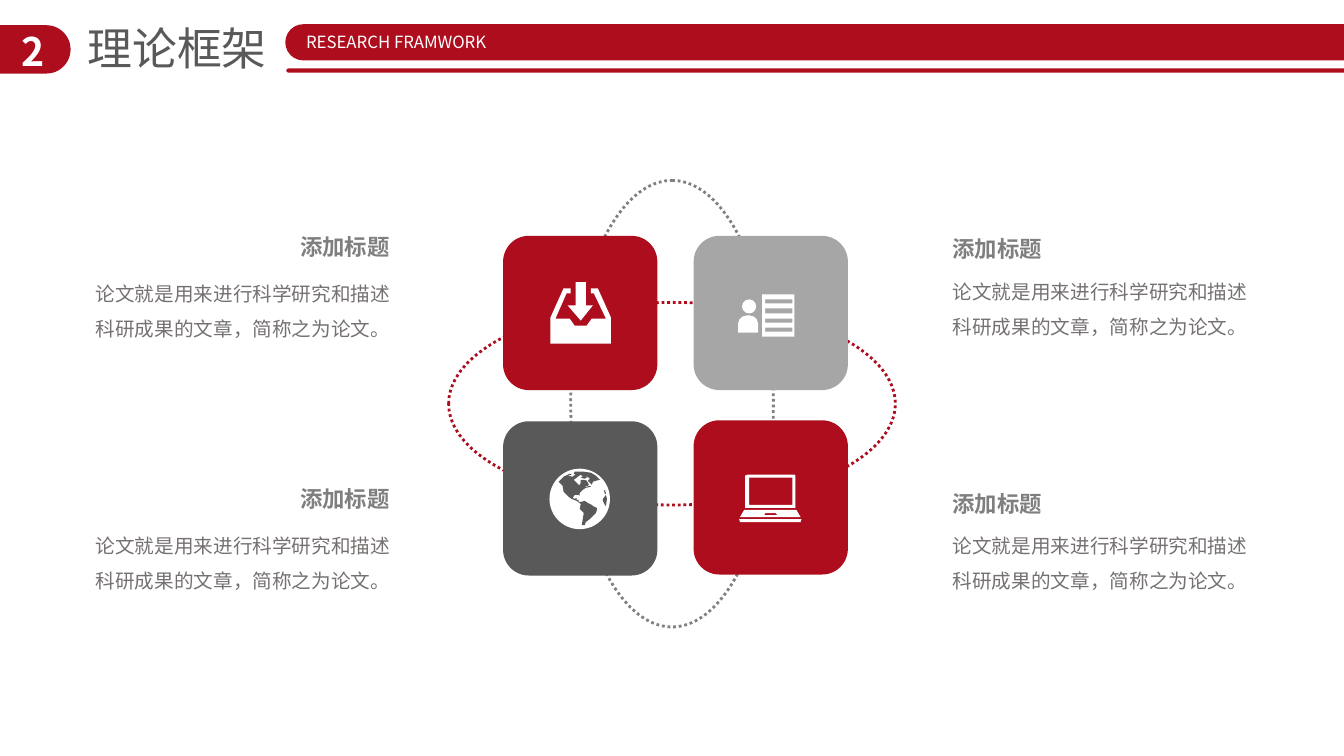
from lxml import etree
from pptx import Presentation
from pptx.dml.color import RGBColor
from pptx.enum import dml, shapes, text
from pptx.oxml.ns import qn
from pptx.util import Cm, Pt

FONT = "Noto Sans CJK SC"
RED, WHITE, DARK, SILVER = "AE0D1D", "FFFFFF", "595959", "A6A6A6"
DOT_GREY, HEADING_GREY, BODY_GREY = "808080", "7F7F7F", "767171"
HEADING = "添加标题"
BODY = "论文就是用来进行科学研究和描述科研成果的文章，简称之为论文。"
TILE_SIZE = 1.53
KIND = shapes.MSO_SHAPE

ARROW = [(581, 303), (581, 280), (571, 280), (571, 303), (563, 303), (576, 318), (588, 303)]
TRAY = [
    (593, 286), (586, 286), (586, 291), (589, 291), (601, 316), (587, 316), (582, 323),
    (570, 323), (565, 316), (551, 316), (562, 291), (566, 291), (566, 286), (559, 286),
    (546, 315), (546, 341), (606, 341), (606, 315),
]
AMERICAS = [
    (595, 476), (591, 477), (588, 478), (587, 481), (585, 479), (583, 477), (585, 475),
    (584, 474), (580, 472), (582, 474), (580, 475), (576, 474), (578, 473), (576, 471),
    (573, 473), (572, 474), (569, 476), (572, 479), (574, 481), (575, 481), (576, 479),
    (576, 476), (579, 476), (582, 477), (584, 481), (583, 482), (579, 483), (582, 483),
    (585, 482), (586, 483), (581, 484), (578, 486), (575, 489), (575, 492), (574, 491),
    (570, 491), (568, 494), (570, 495), (572, 494), (572, 496), (574, 496), (574, 498),
    (576, 498), (580, 497), (583, 499), (587, 501), (588, 502), (592, 504), (592, 506),
    (591, 509), (588, 512), (585, 515), (581, 518), (580, 521), (577, 521), (578, 515),
    (579, 509), (575, 505), (576, 500), (572, 497), (567, 495), (564, 493), (561, 490),
    (559, 488), (558, 482), (554, 478), (559, 473), (565, 470), (567, 471), (563, 472),
    (568, 473), (569, 472), (571, 471), (569, 470), (570, 468), (579, 468), (586, 469),
    (591, 472),
]
EUROPE = [(599, 487), (600, 486), (601, 490), (600, 490)]
AFRICA = [(600, 501), (598, 497), (598, 495), (601, 491), (602, 495), (601, 502)]


def box(left, top, width, height):
    return [Cm(length * 2.54) for length in (left, top, width, height)]


def color(value):
    return RGBColor.from_string(value)


def paint(shape, fill):
    shape.shadow.inherit = False
    shape.fill.solid()
    shape.fill.fore_color.rgb = color(fill)
    shape.line.fill.background()


def add_solid(slide, kind, place, fill, adjustments=()):
    shape = slide.shapes.add_shape(kind, *box(*place))
    paint(shape, fill)
    for index, value in enumerate(adjustments):
        shape.adjustments[index] = value


def add_dotted_ring(slide, line, rotation):
    shape = slide.shapes.add_shape(KIND.OVAL, *box(4.45, 3, 4.43, 2.01))
    shape.shadow.inherit = False
    shape.rotation = rotation
    shape.fill.background()
    shape.line.color.rgb = color(line)
    shape.line.width = Pt(2)
    shape.line.dash_style = dml.MSO_LINE.ROUND_DOT


def add_outline(slide, contours, fill):
    first, *others = contours
    builder = slide.shapes.build_freeform(*first[0], scale=float(Cm(0.0254)))
    builder.add_line_segments(first[1:], close=True)
    for contour in others:
        builder.move_to(*contour[0])
        builder.add_line_segments(contour[1:], close=True)
    paint(builder.convert_to_shape(), fill)


def rectangle(left, top, right, bottom):
    return [(left, top), (right, top), (right, bottom), (left, bottom)]


def add_text(slide, place, content, size, fill, bold=False, wrap=False, spacing=None, align=None):
    frame = slide.shapes.add_textbox(*box(*place)).text_frame
    frame.text = content
    frame.word_wrap = wrap
    frame.auto_size = text.MSO_AUTO_SIZE.SHAPE_TO_FIT_TEXT
    paragraph = frame.paragraphs[0]
    paragraph.alignment = align
    paragraph.line_spacing = spacing
    font = paragraph.runs[0].font
    font.name, font.size, font.bold = FONT, Pt(size), bold
    font.color.rgb = color(fill)
    properties = paragraph.runs[0].font._element
    east_asian = etree.SubElement(properties, qn("a:ea"))
    east_asian.set("typeface", FONT)


def add_header(slide):
    center = text.PP_ALIGN.CENTER
    for place in ((-0.28, 0.25, 0.98, 0.48), (2.83, 0.24, 11.03, 0.36), (2.84, 0.68, 11.03, 0.04)):
        add_solid(slide, KIND.ROUNDED_RECTANGLE, place, RED, [0.5])
    add_text(slide, (0.07, 0.22, 0.51, 0.57), "2", 28, WHITE, bold=True, wrap=True, align=center)
    add_text(slide, (0.77, 0.16, 2, 0.64), "理论框架", 32, DARK)
    add_text(slide, (2.87, 0.27, 2.12, 0.3), "RESEARCH FRAMWORK", 12, WHITE, align=center)


def add_caption(slide, heading_left, body_left, heading_top, body_top):
    add_text(slide, (heading_left, heading_top, 1.1, 0.37), HEADING, 16, HEADING_GREY, bold=True)
    add_text(slide, (body_left, body_top, 3.13, 0.81), BODY, 14, BODY_GREY, wrap=True, spacing=1.5)


def add_inbox_icon(slide):
    add_outline(slide, [ARROW], WHITE)
    add_outline(slide, [TRAY], WHITE)


def add_profile_icon(slide):
    add_solid(slide, KIND.OVAL, (7.36, 2.97, 0.14, 0.14), WHITE)
    add_solid(slide, KIND.ROUND_2_SAME_RECTANGLE, (7.32, 3.13, 0.2, 0.17), WHITE, [0.5, 0])
    stripes = [rectangle(759, 297 + 9.3 * row, 786, 301.3 + 9.3 * row) for row in range(4)]
    add_outline(slide, [rectangle(756, 292, 788, 334), *stripes], WHITE)


def add_globe_icon(slide):
    add_solid(slide, KIND.OVAL, (5.45, 4.65, 0.6, 0.6), WHITE)
    for land in (AMERICAS, EUROPE, AFRICA):
        add_outline(slide, [land], DARK)


def add_laptop_icon(slide):
    screen = [(739, 504), (739, 472), (741, 471), (788, 471), (789, 472), (789, 504)]
    keyboard = [(738, 506), (790, 506), (794, 513), (734, 513)]
    touchpad = [(758, 511), (759, 509), (769, 509), (771, 511)]
    edge = [(733, 515), (795, 515), (794, 518), (734, 518)]
    add_outline(slide, [screen, rectangle(743, 474, 786, 501), keyboard, touchpad, edge], WHITE)


def main():
    presentation = Presentation()
    presentation.slide_width, presentation.slide_height = box(0, 0, 13.33, 7.5)[2:]
    slide = presentation.slides.add_slide(presentation.slide_layouts[6])

    add_dotted_ring(slide, RED, 0)
    add_dotted_ring(slide, DOT_GREY, 90)
    add_caption(slide, 2.88, 0.85, 2.26, 2.63)
    add_caption(slide, 2.88, 0.85, 4.76, 5.13)
    add_caption(slide, 9.35, 9.35, 2.28, 2.61)
    add_caption(slide, 9.35, 9.35, 4.81, 5.13)
    add_header(slide)

    tiles = [
        (4.99, 2.34, RED, add_inbox_icon),
        (6.88, 2.34, SILVER, add_profile_icon),
        (4.99, 4.18, DARK, add_globe_icon),
        (6.88, 4.17, RED, add_laptop_icon),
    ]
    for left, top, fill, add_icon in tiles:
        add_solid(slide, KIND.ROUNDED_RECTANGLE, (left, top, TILE_SIZE, TILE_SIZE), fill)
        add_icon(slide)

    presentation.save("out.pptx")


if __name__ == "__main__":
    main()
